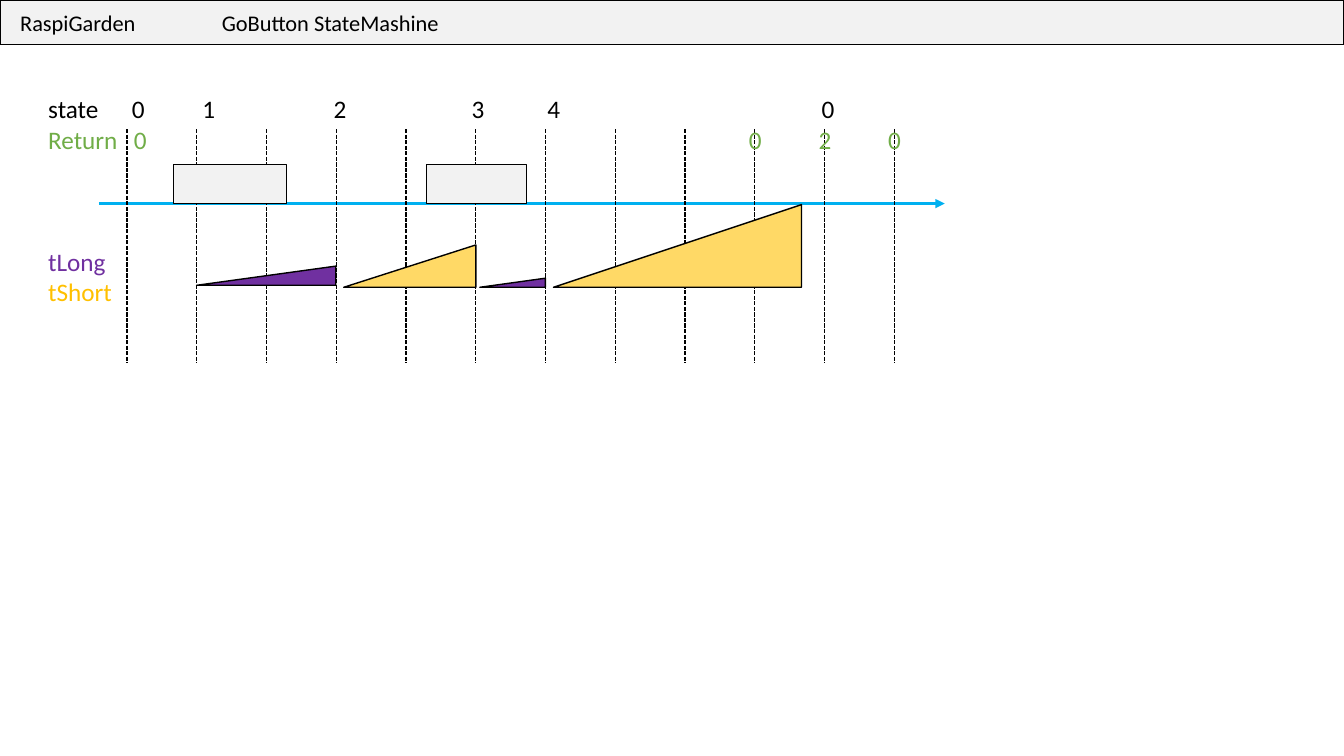
from pptx import Presentation
from pptx.dml.color import RGBColor
from pptx.enum.dml import MSO_LINE_DASH_STYLE as DASH
from pptx.enum.shapes import MSO_CONNECTOR, MSO_SHAPE as SHAPE
from pptx.enum.text import MSO_ANCHOR, PP_ALIGN
from pptx.oxml.ns import qn
from pptx.util import Inches, Pt
from lxml.etree import SubElement

BLACK, GRAY, BLUE = "000000", "F2F2F2", "00B0F0"
PURPLE, YELLOW = "7030A0", "FFD966"
AXIS_Y = 2.02
TICK_COUNT = 12
FIRST_TICK, LAST_TICK = 1.26, 8.87

LABELS = [
    ("state\t0\t1\t2\t3\t4\t0", BLACK, [0.83, 1.53, 2.83, 4.2, 4.95, 7.67], 0),
    ("Return\t0\t0\t2\t0", "70AD47", [0.85, 6.95, 7.64, 8.33], 0),
    ("tLong", PURPLE, [], 66),
    ("tShort", "FFC000", [], 0),
]
PRESSES = [(1.72, 1.12), (4.23, 0.99)]
RAMPS = [
    (5.49, 2.03, 2.46, 0.82, YELLOW),
    (3.41, 2.43, 1.31, 0.42, YELLOW),
    (1.95, 2.64, 1.38, 0.19, PURPLE),
    (4.76, 2.76, 0.65, 0.09, PURPLE),
]


def color(value):
    return RGBColor.from_string(value)


def paint(shape, fill):
    shape.fill.solid()
    shape.fill.fore_color.rgb = color(fill)
    shape.line.color.rgb = color(BLACK)
    shape.line.width = Pt(1)


def add_block(slide, kind, left, top, width, height, fill):
    block = slide.shapes.add_shape(
        kind, Inches(left), Inches(top), Inches(width), Inches(height))
    block.shadow.inherit = False
    paint(block, fill)
    return block


def add_ramp(slide, left, top, width, height, fill):
    ramp = add_block(slide, SHAPE.RIGHT_TRIANGLE, left, top, width, height, fill)
    ramp._element.spPr.get_or_add_xfrm().set("flipH", "1")


def add_line(slide, x1, y1, x2, y2, stroke, width):
    line = slide.shapes.add_connector(
        MSO_CONNECTOR.STRAIGHT, Inches(x1), Inches(y1), Inches(x2), Inches(y2))
    line.line.color.rgb = color(stroke)
    line.line.width = Pt(width)
    SubElement(line._element.spPr, qn("a:effectLst"))
    return line


def add_axis(slide):
    axis = add_line(slide, 0.98, AXIS_Y, 9.37, AXIS_Y, BLUE, 2.25)
    SubElement(axis.line._get_or_add_ln(), qn("a:tailEnd"), type="triangle")


def add_ticks(slide):
    step = (LAST_TICK - FIRST_TICK) / (TICK_COUNT - 1)
    for index in range(TICK_COUNT):
        x = FIRST_TICK + index * step
        tick = add_line(slide, x, 1.28, x, 3.6, BLACK, 1)
        tick.line.dash_style = DASH.SQUARE_DOT


def write(para, text, size, ink, stops):
    para.text = text
    para.alignment = PP_ALIGN.LEFT
    for span in para.runs:
        span.font.name = "Calibri"
        span.font.size = Pt(size)
        span.font.color.rgb = color(ink)
    if stops:
        tabs = SubElement(para._p.get_or_add_pPr(), qn("a:tabLst"))
        for stop in stops:
            SubElement(tabs, qn("a:tab"), pos=str(Inches(stop)), algn="l")


def add_labels(slide):
    box = slide.shapes.add_textbox(
        Inches(0.38), Inches(0.88), Inches(8.87), Inches(2.52))
    frame = box.text_frame
    frame.word_wrap = True
    for index, (text, ink, stops, gap) in enumerate(LABELS):
        para = frame.add_paragraph() if index else frame.paragraphs[0]
        write(para, text, 18, ink, stops)
        para.space_before = Pt(gap)


def format_title(slide, deck):
    title = slide.shapes.title
    title.left = title.top = Inches(0)
    title.width, title.height = deck.slide_width, Inches(0.44)
    paint(title, GRAY)
    frame = title.text_frame
    frame.vertical_anchor = MSO_ANCHOR.MIDDLE
    frame.margin_left = Inches(0.2)
    frame.margin_top = frame.margin_right = frame.margin_bottom = Inches(0.04)
    write(frame.paragraphs[0], "RaspiGarden\tGoButton StateMashine", 16, BLACK, [2])


def main():
    deck = Presentation()
    deck.slide_width, deck.slide_height = Inches(13.33), Inches(7.5)
    slide = deck.slides.add_slide(deck.slide_layouts[5])
    format_title(slide, deck)
    add_axis(slide)
    add_ticks(slide)
    for left, width in PRESSES:
        add_block(slide, SHAPE.RECTANGLE, left, 1.63, width, 0.39, GRAY)
    add_labels(slide)
    for ramp in RAMPS:
        add_ramp(slide, *ramp)
    deck.save("out.pptx")


if __name__ == "__main__":
    main()
